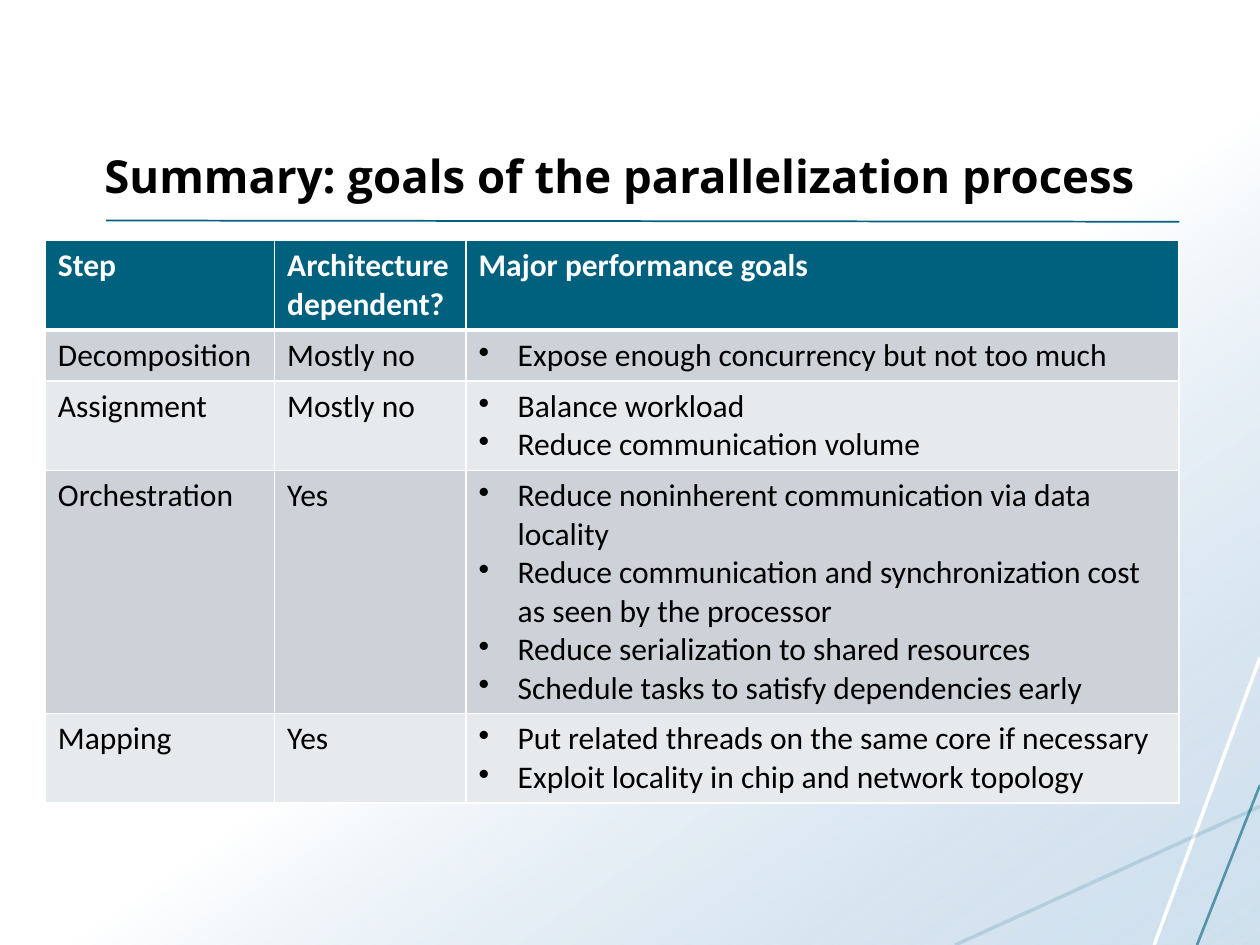
import pptx
import pptx.dml.color
import pptx.enum.shapes
import pptx.enum.text
import pptx.oxml
import pptx.oxml.ns
import pptx.util

COLORS = {"white": "FFFFFF", "black": "000000", "teal": "00617F", "aqua": "15718F",
          "sky": "A9C7E0", "dark_band": "CCD2D8", "light_band": "E7EAEC"}
HEADER = ["Step", "Architecture dependent?", "Major performance goals"]
STEPS = [
    ("Decomposition", "Mostly no", ["Expose enough concurrency but not too much"]),
    ("Assignment", "Mostly no", ["Balance workload", "Reduce communication volume"]),
    ("Orchestration", "Yes", ["Reduce noninherent communication via data locality",
                              "Reduce communication and synchronization cost as seen by the processor",
                              "Reduce serialization to shared resources",
                              "Schedule tasks to satisfy dependencies early"]),
    ("Mapping", "Yes", ["Put related threads on the same core if necessary",
                        "Exploit locality in chip and network topology"]),
]
ROW_LINES = [2, 1, 2, 6, 2]


class Deck:
    """Holds the style and the current slide, measured on a grid of 100 columns by 75 rows."""

    def __init__(self):
        self.prs = pptx.Presentation()
        self.prs.slide_width = pptx.util.Inches(10)
        self.prs.slide_height = pptx.util.Inches(7.5)
        self.s = self.prs.slides.add_slide(self.prs.slide_layouts[6])

    def grid(self, *cells):
        return [pptx.util.Emu(round(c * self.prs.slide_width / 100)) for c in cells]

    def color(self, name):
        return pptx.dml.color.RGBColor.from_string(COLORS[name])

    def add_xml(self, parent, tag, **attrs):
        el = pptx.oxml.parse_xml(f"<a:{tag} {pptx.oxml.ns.nsdecls('a')}/>")
        for key, value in attrs.items():
            el.set(key, str(value))
        parent.append(el)
        return el

    def opacity(self, sp, percent):
        clr = sp._element.spPr.xpath(".//a:srgbClr")[-1]
        self.add_xml(clr, "alpha", val=percent * 1000)

    def backdrop(self, start, end, position, angle, opacity):
        sp = self.s.shapes.add_shape(pptx.enum.shapes.MSO_SHAPE.RECTANGLE, *self.grid(0, 0, 100, 75))
        sp.shadow.inherit = False
        sp.line.fill.background()
        sp.fill.gradient()
        sp.fill.gradient_angle = 360 - angle
        stops = sp.fill.gradient_stops
        for stop, name, place in zip(stops, (start, end), (position, 1)):
            stop.color.rgb = self.color(name)
            stop.position = place
        self.opacity(sp, opacity)

    def line(self, x1, y1, x2, y2, color, width, opacity=100):
        sp = self.s.shapes.add_connector(pptx.enum.shapes.MSO_CONNECTOR.STRAIGHT,
                                         *self.grid(x1, y1, x2, y2))
        sp.line.color.rgb = self.color(color)
        sp.line.width = pptx.util.Pt(width)
        if opacity < 100:
            self.opacity(sp, opacity)
        self.add_xml(sp._element.spPr, "effectLst")

    def font(self, p, name, size, color, bold):
        p.font.name = name
        p.font.size = pptx.util.Pt(size)
        p.font.color.rgb = self.color(color)
        p.font.bold = bold

    def title(self, text, x, y, w, h):
        tf = self.s.shapes.add_textbox(*self.grid(x, y, w, h)).text_frame
        tf.word_wrap = True
        tf.vertical_anchor = pptx.enum.text.MSO_ANCHOR.BOTTOM
        tf.text = text
        self.font(tf.paragraphs[0], "Open Sans", 26, "black", True)

    def borders(self, cell, bottom):
        tcPr = cell._tc.get_or_add_tcPr()
        for side, width in (("lnL", 1), ("lnR", 1), ("lnT", 1), ("lnB", bottom)):
            ln = self.add_xml(tcPr, side, w=pptx.util.Pt(width))
            self.add_xml(self.add_xml(ln, "solidFill"), "srgbClr", val=COLORS["white"])

    def cell(self, cell, content, fill, header):
        bulleted = isinstance(content, list)
        self.borders(cell, 3 if header else 1)
        cell.fill.solid()
        cell.fill.fore_color.rgb = self.color(fill)
        cell.text = "\n".join(content) if bulleted else content
        for p in cell.text_frame.paragraphs:
            self.font(p, "Calibri", 18, "white" if header else "black", header)
            if bulleted:
                pPr = p._p.get_or_add_pPr()
                indent = self.grid(3.1)[0]
                pPr.set("marL", str(indent))
                pPr.set("indent", str(-indent))
                bullet = pptx.oxml.parse_xml(f'<a:buChar {pptx.oxml.ns.nsdecls("a")} char="•"/>')
                pPr.insert(0, bullet)

    def table(self, rows, x, y, widths, heights):
        box = self.grid(x, y, sum(widths), sum(heights))
        table = self.s.shapes.add_table(len(rows), len(widths), *box).table
        for column, width in zip(table.columns, self.grid(*widths)):
            column.width = width
        for r, (row, height) in enumerate(zip(rows, self.grid(*heights))):
            table.rows[r].height = height
            fill = "teal" if r == 0 else "dark_band" if r % 2 else "light_band"
            for c, content in enumerate(row):
                self.cell(table.cell(r, c), content, fill, r == 0)


def main():
    deck = Deck()
    deck.backdrop("white", "sky", 0.54, 55, 54)
    deck.line(100, 52.2, 91.6, 75, "white", 2)
    deck.line(100, 64, 75.8, 75, "aqua", 2, 16)
    deck.line(100, 62.3, 95, 75, "teal", 1.5, 60)
    deck.line(8.4, 17.5, 93.6, 17.6, "teal", 1)
    deck.title("Summary: goals of the parallelization process", 7.3, 3.3, 86.2, 13.3)
    heights = [1 + 3.05 * lines for lines in ROW_LINES]
    deck.table([HEADER, *STEPS], 3.6, 19.1, [18.2, 15.2, 56.6], heights)
    deck.prs.save("out.pptx")


if __name__ == "__main__":
    main()
